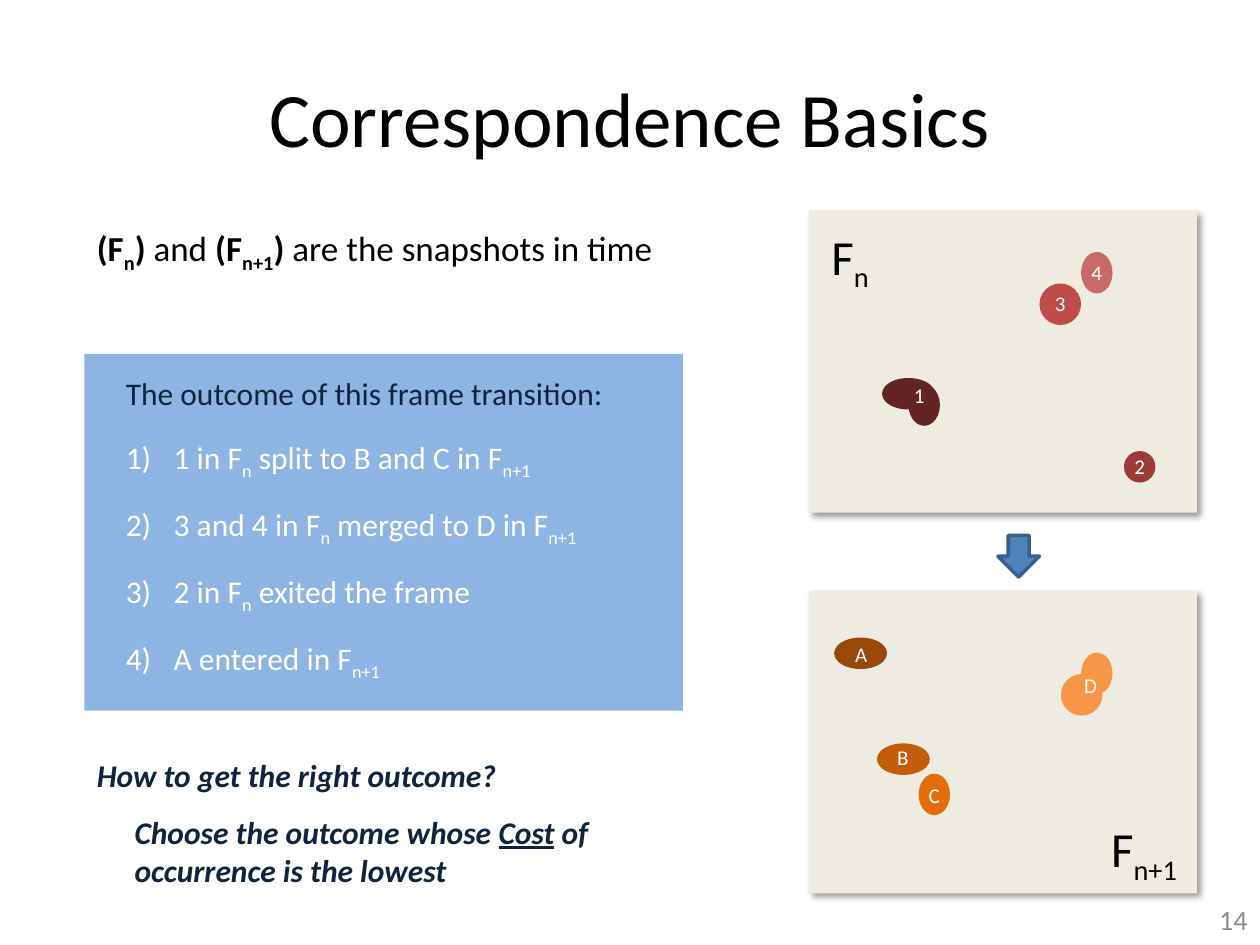
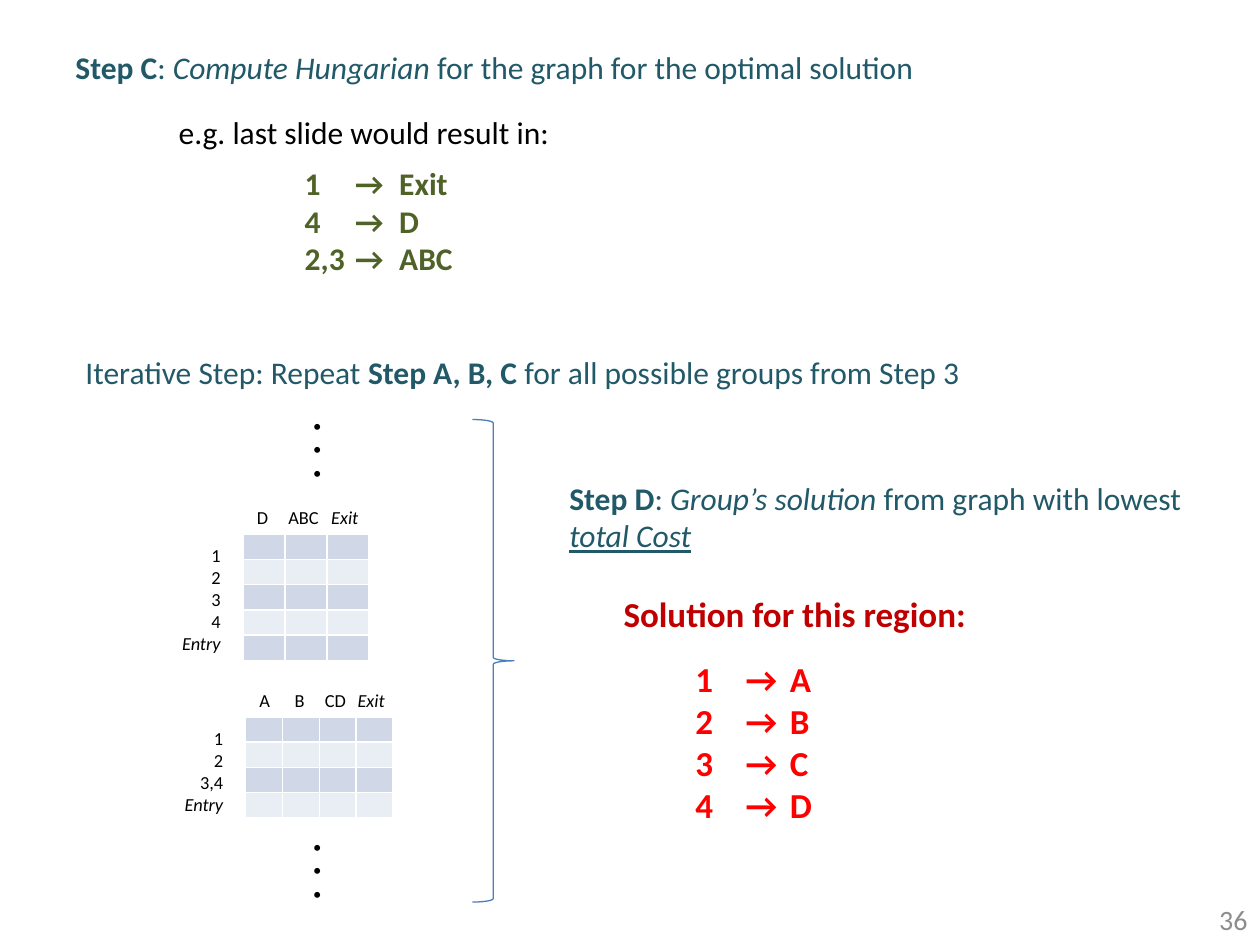
from dataclasses import dataclass
from typing import NamedTuple

from lxml.etree import SubElement
from pptx import Presentation
from pptx.dml.color import RGBColor
from pptx.enum.shapes import MSO_SHAPE
from pptx.enum.text import MSO_ANCHOR, MSO_AUTO_SIZE, PP_ALIGN
from pptx.oxml.ns import qn
from pptx.util import Inches, Pt

FONT = "Calibri"
BLACK = RGBColor(0x00, 0x00, 0x00)
WHITE = RGBColor(0xFF, 0xFF, 0xFF)
NAVY = RGBColor(0x0F, 0x24, 0x3E)
TEAL = RGBColor(0x21, 0x59, 0x68)
OLIVE = RGBColor(0x4F, 0x62, 0x28)
RED = RGBColor(0xFF, 0x00, 0x00)
DARK_RED = RGBColor(0xC0, 0x00, 0x00)
GREY = RGBColor(0x8C, 0x8C, 0x8C)
PANEL_BLUE = RGBColor(0x8E, 0xB4, 0xE3)
FRAME_FILL = RGBColor(0xEE, 0xEC, 0xE1)
ARROW_FILL = RGBColor(0x4F, 0x81, 0xBD)
ARROW_LINE = RGBColor(0x3A, 0x5F, 0x8C)
BRACE_LINE = RGBColor(0x4B, 0x7E, 0xBC)
BANDS = (RGBColor(0xD0, 0xD8, 0xE8), RGBColor(0xE9, 0xED, 0xF4))
ONE = RGBColor(0x63, 0x25, 0x23)
TWO = RGBColor(0x9E, 0x3A, 0x38)
THREE = RGBColor(0xBF, 0x4C, 0x49)
FOUR = RGBColor(0xCA, 0x6A, 0x68)
A_BROWN = RGBColor(0x98, 0x48, 0x07)
B_BROWN = RGBColor(0xC3, 0x5D, 0x09)
C_ORANGE = RGBColor(0xE4, 0x6C, 0x0A)
D_ORANGE = RGBColor(0xF7, 0x96, 0x46)


class Box(NamedTuple):
    """Left, top, width and height in inches."""
    x: float
    y: float
    w: float
    h: float

    def emu(self) -> list:
        """Return the four lengths for python-pptx."""
        return [Inches(v) for v in self]


class Run(NamedTuple):
    """A stretch of text with one format."""
    text: str
    bold: bool = False
    italic: bool = False
    underline: bool = False
    sub: bool = False


@dataclass
class Para:
    """A paragraph, its runs and its layout."""
    runs: list[Run]
    size: float = 18
    color: RGBColor = BLACK
    align: PP_ALIGN = PP_ALIGN.LEFT
    before: float = 0
    indent: float = 0
    number: int = 0
    tabs: tuple[float, ...] = ()


@dataclass
class Blob:
    """A tracked region made of ellipses, with its label position."""
    label: str
    color: RGBColor
    label_at: tuple[float, float]
    ovals: list[Box]


@dataclass
class Frame:
    """A snapshot with its blobs and its name."""
    top: float
    blobs: list[Blob]
    name: list[Run]
    name_box: Box


@dataclass
class CostGrid:
    """An empty cost table with row and column headings."""
    left: float
    top: float
    width: float
    columns: list[str]
    tabs: tuple[float, ...]
    rows: list[str]


F_N = [Run("F"), Run("n", sub=True)]
F_NEXT = [Run("F"), Run("n+1", sub=True)]
FLAT, TALL, ROUND = (0.42, 0.25), (0.25, 0.33), (0.33, 0.33)

FRAMES = [
    Frame(4.69, [
        Blob("A", A_BROWN, (6.75, 5.09), [Box(6.62, 5.06, *FLAT)]),
        Blob("D", D_ORANGE, (8.57, 5.34), [Box(8.42, 5.35, *ROUND), Box(8.58, 5.18, *TALL)]),
        Blob("B", B_BROWN, (7.08, 5.91), [Box(6.96, 5.9, *FLAT)]),
        Blob("C", C_ORANGE, (7.33, 6.21), [Box(7.29, 6.14, *TALL)]),
    ], F_NEXT, Box(8.72, 6.45, 0.78, 0.57)),
    Frame(1.67, [
        Blob("2", TWO, (8.96, 3.6), [Box(8.92, 3.58, 0.25, 0.25)]),
        Blob("1", ONE, (7.21, 3.04), [Box(7.21, 3.05, *TALL), Box(7, 3, *FLAT)]),
        Blob("3", THREE, (8.33, 2.31), [Box(8.25, 2.25, *ROUND)]),
        Blob("4", FOUR, (8.62, 2.06), [Box(8.58, 2, *TALL)]),
    ], F_N, Box(6.5, 1.75, 0.52, 0.57)),
]

OUTCOMES = [
    (3.61, [Run("1 in F"), F_N[1], Run(" split to B and C in F"), F_NEXT[1]]),
    (3.98, [Run("3 and 4 in F"), F_N[1], Run(" merged to D in F"), F_NEXT[1]]),
    (3.02, [Run("2 in F"), F_N[1], Run(" exited the frame")]),
    (2.27, [Run("A entered in F"), F_NEXT[1]]),
]

GRIDS = [
    CostGrid(1.93, 4.24, 1, ["D", "ABC", "Exit"], (0.25, 0.59), ["1", "2", "3", "4", "Entry"]),
    CostGrid(1.95, 5.69, 1.17, ["A", "B", "CD", "Exit"], (0.28, 0.52, 0.78),
             ["1", "2", "3,4", "Entry"]),
]


def add_text(s, box: Box, paras: list[Para], wrap: bool = True, inset: bool = True,
             middle: bool = False, rotation: float = 0) -> None:
    """Add a text box, run by run."""
    sp = s.shapes.add_textbox(*box.emu())
    sp.rotation = rotation
    tf = sp.text_frame
    tf.word_wrap = wrap
    tf.auto_size = MSO_AUTO_SIZE.NONE if middle else MSO_AUTO_SIZE.SHAPE_TO_FIT_TEXT
    tf.vertical_anchor = MSO_ANCHOR.MIDDLE if middle else MSO_ANCHOR.TOP
    if not inset:
        tf.margin_left = tf.margin_right = tf.margin_top = tf.margin_bottom = 0
    for i, para in enumerate(paras):
        p = tf.add_paragraph() if i else tf.paragraphs[0]
        format_paragraph(p, para)
        for run in para.runs:
            r = p.add_run()
            r.text = run.text
            font = r.font
            font.name, font.size, font.color.rgb = FONT, Pt(para.size), para.color
            font.bold, font.italic, font.underline = run.bold, run.italic, run.underline
            if run.sub:
                r._r.get_or_add_rPr().set("baseline", "-25000")


def format_paragraph(p, para: Para) -> None:
    """Apply numbering, tabs, indent, alignment and spacing."""
    p_pr = p._p.get_or_add_pPr()
    if para.indent:
        p_pr.set("marL", str(Inches(para.indent)))
        p_pr.set("indent", str(-Inches(para.indent) if para.number else 0))
    if para.number:
        SubElement(p_pr, qn("a:buFont"), typeface="+mj-lt")
        SubElement(p_pr, qn("a:buAutoNum"), type="arabicParenR", startAt=str(para.number))
    if para.tabs:
        tab_list = SubElement(p_pr, qn("a:tabLst"))
        for pos in para.tabs:
            SubElement(tab_list, qn("a:tab"), pos=str(Inches(pos)), algn="l")
    p.alignment = para.align
    if para.before:
        p.space_before = Pt(para.before)


def add_shape(s, kind: MSO_SHAPE, box: Box, fill: RGBColor | None = None,
              line: RGBColor | None = None, width: float = 1):
    """Add a preset shape without shadow."""
    sp = s.shapes.add_shape(kind, *box.emu())
    sp.shadow.inherit = False
    if fill is None:
        sp.fill.background()
    else:
        sp.fill.solid()
        sp.fill.fore_color.rgb = fill
    if line is None:
        sp.line.fill.background()
    else:
        sp.line.color.rgb = line
        sp.line.width = Pt(width)
    return sp


def drop_shadow(sp) -> None:
    """Give a shape a soft shadow to the lower right."""
    effects = sp._element.spPr.find(qn("a:effectLst"))
    shadow = SubElement(effects, qn("a:outerShdw"), blurRad=str(Pt(4)), dist=str(Pt(3)),
                        dir="2700000", algn="tl", rotWithShape="0")
    color = SubElement(shadow, qn("a:srgbClr"), val=str(BLACK))
    SubElement(color, qn("a:alpha"), val="40000")


def add_frame(s, frame: Frame) -> None:
    """Draw one snapshot."""
    drop_shadow(add_shape(s, MSO_SHAPE.RECTANGLE, Box(6.42, frame.top, 3.08, 2.4), FRAME_FILL))
    for blob in frame.blobs:
        for oval in blob.ovals:
            add_shape(s, MSO_SHAPE.OVAL, oval, blob.color)
        label = Para([Run(blob.label)], 12, WHITE, PP_ALIGN.CENTER)
        add_text(s, Box(*blob.label_at, 0.17, 0.2), [label], inset=False)
    add_text(s, frame.name_box, [Para(frame.name, 28)], wrap=False)


def add_grid(s, grid: CostGrid) -> None:
    """Draw a banded empty table with its headings."""
    n_rows, n_cols = len(grid.rows), len(grid.columns)
    box = Box(grid.left, grid.top, grid.width, 0.2 * n_rows)
    table = s.shapes.add_table(n_rows, n_cols, *box.emu()).table
    table.first_row = False
    for i, row in enumerate(table.rows):
        for cell in row.cells:
            cell.margin_left = cell.margin_right = cell.margin_top = cell.margin_bottom = 0
            cell.fill.solid()
            cell.fill.fore_color.rgb = BANDS[i % 2]
            cell.text_frame.paragraphs[0]._p.get_or_add_endParaRPr().set("sz", "800")
    heads = [Run(("\t" if i else "") + name, italic=name == "Exit")
             for i, name in enumerate(grid.columns)]
    add_text(s, Box(grid.left + 0.01, grid.top - 0.27, grid.width + 0.12, 0.28),
             [Para(heads, 10.5, tabs=grid.tabs)])
    names = [Para([Run(name, italic=name == "Entry")], 10.5, align=PP_ALIGN.RIGHT)
             for name in grid.rows]
    add_text(s, Box(grid.left - 0.6, grid.top + 0.03, 0.52, 0.1 + 0.18 * n_rows), names,
             wrap=False)


def match_list(pairs: list[tuple[str, str]], size: float, color: RGBColor,
               before: float) -> list[Para]:
    """List matches in columns set by tabs."""
    return [Para([Run(f"\t{source}\t→\t{target}", bold=True)], size, color,
                 before=0 if i else before, tabs=(1, 1.4, 1.75))
            for i, (source, target) in enumerate(pairs)]


def add_page_number(s, number: int) -> None:
    """Put the number in the lower right corner."""
    add_text(s, Box(7.67, 7.1, 2.33, 0.4),
             [Para([Run(str(number))], 16, GREY, PP_ALIGN.RIGHT)], middle=True)


def build_basics(s) -> None:
    """Build the slide on correspondence basics."""
    add_shape(s, MSO_SHAPE.RECTANGLE, Box(0.67, 2.81, 4.75, 2.83), PANEL_BLUE)
    for i, (width, runs) in enumerate(OUTCOMES):
        add_text(s, Box(0.9, 3.43 + 0.53 * i, width, 0.4),
                 [Para(runs, color=WHITE, indent=0.38, number=i + 1)], wrap=False)
    add_text(s, Box(0.9, 2.92, 4.03, 0.4),
             [Para([Run("The outcome of this frame transition:")], color=NAVY)], wrap=False)
    add_text(s, Box(0.5, 0.3, 9, 1.25),
             [Para([Run("Correspondence Basics")], 44, align=PP_ALIGN.CENTER)], middle=True)
    for frame in FRAMES:
        add_frame(s, frame)
    add_shape(s, MSO_SHAPE.DOWN_ARROW, Box(7.92, 4.25, *ROUND), ARROW_FILL, ARROW_LINE, 2)
    snapshots = [Run("(F", True), Run("n", True, sub=True), Run(")", True), Run(" and "),
                 Run("(F", True), Run("n+1", True, sub=True), Run(")", True),
                 Run(" are the snapshots in time")]
    add_text(s, Box(0.67, 1.75, 5.08, 0.44), [Para(snapshots, 20)])
    answer = [Run("Choose the outcome whose ", True, True), Run("Cost", True, True, True),
              Run(" of occurrence is the lowest", True, True)]
    add_text(s, Box(0.67, 5.95, 5, 1.19), [
        Para([Run("How to get the right outcome?", True, True)], color=NAVY),
        Para(answer, color=NAVY, before=11, indent=0.3)])
    add_page_number(s, 14)


def build_steps(s) -> None:
    """Build the slide on the last steps of the method."""
    add_text(s, Box(0.58, 2.75, 7.2, 0.4), [Para(
        [Run("Iterative Step: Repeat "), Run("Step A, B, C", True),
         Run(" for all possible groups from Step 3")], color=TEAL)], wrap=False)
    for grid in GRIDS:
        add_grid(s, grid)
    add_shape(s, MSO_SHAPE.RIGHT_BRACE, Box(3.75, 3.33, 0.33, 3.83), line=BRACE_LINE, width=0.75)
    for top in (3.21, 6.55):
        add_text(s, Box(1.97, top, 0.83, 0.57), [Para([Run(". . .")], 28)], rotation=270)
    step_d = [Run("Step D", True), Run(": "), Run("Group’s solution ", italic=True),
              Run("from graph with lowest "), Run("total Cost", italic=True, underline=True)]
    add_text(s, Box(4.42, 3.75, 5.08, 2.87), [
        Para(step_d, color=TEAL),
        Para([Run("Solution for this region:", True)], 20, DARK_RED, before=22, indent=0.43),
        *match_list(list(zip("1234", "ABCD")), 20, RED, 12.8)])
    add_text(s, Box(0.5, 0.33, 6.92, 0.4), [Para(
        [Run("Step C", True), Run(": "), Run("Compute Hungarian ", italic=True),
         Run("for the graph for the optimal solution")], color=TEAL)], wrap=False)
    add_text(s, Box(1.32, 0.85, 3.18, 1.41), [
        Para([Run("e.g. last slide would result in:")]),
        *match_list([("1", "Exit"), ("4", "D"), ("2,3", "ABC")], 18, OLIVE, 7.3)])
    add_page_number(s, 36)


def main() -> None:
    """Build and save the deck."""
    prs = Presentation()
    prs.slide_width, prs.slide_height = Inches(10), Inches(7.5)
    for build in (build_basics, build_steps):
        build(prs.slides.add_slide(prs.slide_layouts[6]))
    prs.save("out.pptx")


if __name__ == "__main__":
    main()
